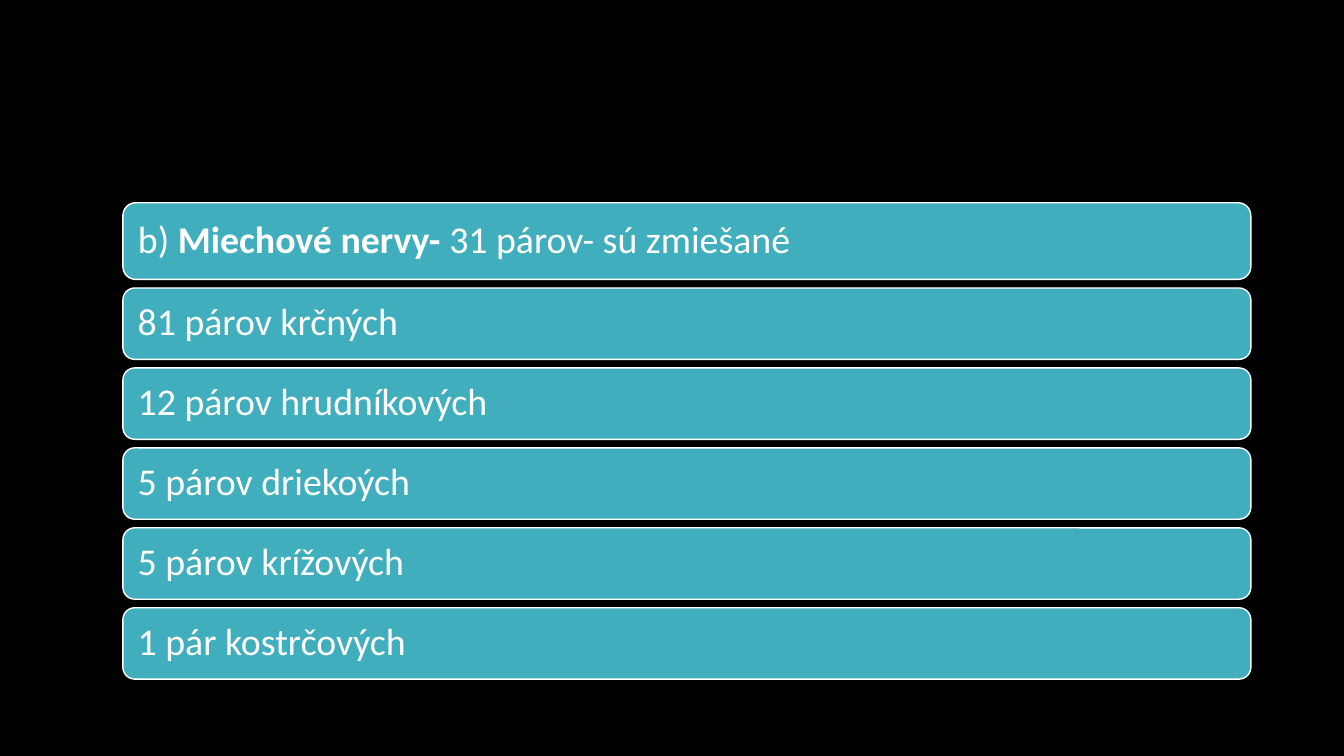
"""Build a slide listing the pairs of spinal nerves."""
from typing import NamedTuple

from pptx import Presentation
from pptx.dml.color import RGBColor
from pptx.enum.shapes import MSO_SHAPE
from pptx.enum.text import MSO_ANCHOR, PP_ALIGN
from pptx.slide import Slide
from pptx.util import Pt

BLACK = RGBColor(0x00, 0x00, 0x00)
WHITE = RGBColor(0xFF, 0xFF, 0xFF)
TEAL = RGBColor(0x41, 0xAE, 0xBD)

LEFT, TOP, WIDTH, GAP = 87.8, 144.8, 805.7, 6.1
INSET = Pt(8.1)


class TextRun(NamedTuple):
    text: str
    bold: bool = False


class Bar(NamedTuple):
    runs: list[TextRun]
    height: float = 51


BARS = [
    Bar([TextRun("b) "), TextRun("Miechové nervy- ", True),
         TextRun("31 párov- sú zmiešané")], 54.8),
    Bar([TextRun("81 párov krčných")]),
    Bar([TextRun("12 párov hrudníkových")]),
    Bar([TextRun("5 párov driekoých")]),
    Bar([TextRun("5 párov krížových")]),
    Bar([TextRun("1 pár kostrčových")]),
]


def add_bar(s: Slide, bar: Bar, top: float) -> None:
    sp = s.shapes.add_shape(MSO_SHAPE.ROUNDED_RECTANGLE, Pt(LEFT), Pt(top),
                            Pt(WIDTH), Pt(bar.height))
    sp.shadow.inherit = False
    sp.fill.solid()
    sp.fill.fore_color.rgb = TEAL
    sp.line.color.rgb = WHITE
    sp.line.width = Pt(1)
    tf = sp.text_frame
    tf.word_wrap = True
    tf.vertical_anchor = MSO_ANCHOR.MIDDLE
    tf.margin_left = tf.margin_right = tf.margin_top = tf.margin_bottom = INSET
    p = tf.paragraphs[0]
    p.alignment = PP_ALIGN.LEFT
    p.line_spacing = 0.9
    for run in bar.runs:
        r = p.add_run()
        r.text = run.text
        r.font.name = "Calibri"
        r.font.size = Pt(27)
        r.font.bold = run.bold
        r.font.color.rgb = WHITE


def main() -> None:
    prs = Presentation()
    prs.slide_width, prs.slide_height = Pt(960), Pt(540)
    s = prs.slides.add_slide(prs.slide_layouts[6])
    s.background.fill.solid()
    s.background.fill.fore_color.rgb = BLACK
    top = TOP
    for bar in BARS:
        add_bar(s, bar, top)
        top += bar.height + GAP
    prs.save("out.pptx")


if __name__ == "__main__":
    main()
